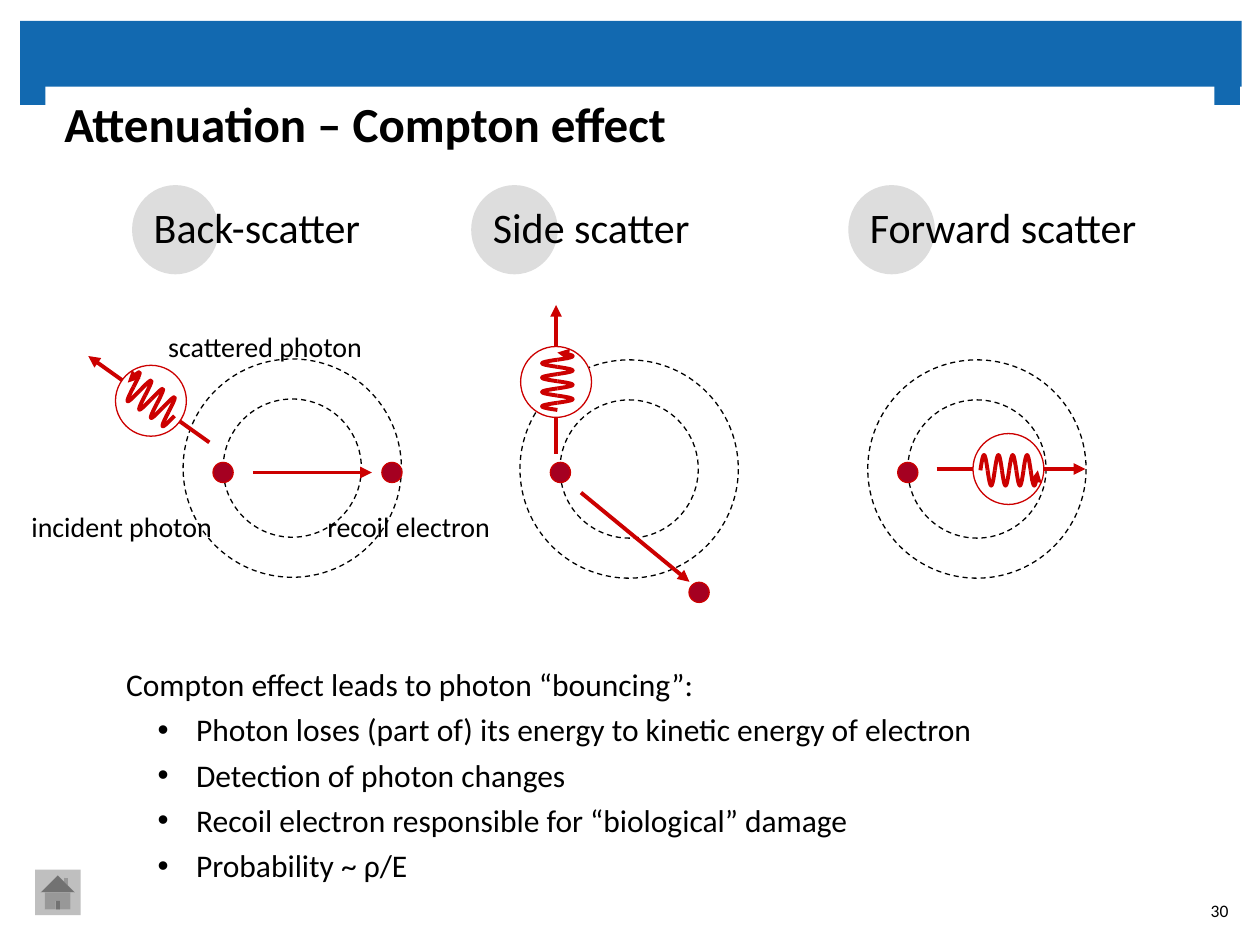
"""Build a slide on the Compton effect with three scatter diagrams."""
from math import cos, pi, radians, sin

from lxml import etree
from pptx import Presentation
from pptx import util as u
from pptx.dml.color import RGBColor
from pptx.enum import dml, shapes, text
from pptx.oxml import ns

BLUE = RGBColor(0x12, 0x69, 0xB0)
BLACK = RGBColor(0, 0, 0)
WHITE = RGBColor(255, 255, 255)
PALE = RGBColor(0xDD, 0xDD, 0xDD)
GREY = RGBColor(0xBF, 0xBF, 0xBF)
RED = RGBColor(0xCC, 0, 0)
WINE = RGBColor(0xA5, 0, 0x21)
FONT = "Calibri"
KIND = shapes.MSO_SHAPE
ALIGN = text.PP_ALIGN

TITLE = "Attenuation – Compton effect"
BARS = [(11.5, 12, 698, 37.5), (11.5, 47, 14.5, 13), (694, 47, 14.5, 13)]
HEADS = [("Back-scatter", 75.5, 143), ("Side scatter", 269.25, 135),
         ("Forward scatter", 484.75, 178)]
ATOMS = [(167, 267.5), (359.5, 268), (558.25, 268)]
RINGS = [79, 124.75]
DOTS = [(127.5, 270), (320.25, 270), (518.75, 270), (224, 270), (399.5, 338.5)]
PATHS = [(144.5, 270, 212.5, 270), (332, 281.5, 394, 332.5)]
WAVES = [(86.25, 229, 215.5), (317.75, 218.25, 270), (576.25, 268, 0)]
NOTES = [("incident photon", 0, 287.5), ("recoil electron", 164, 287.5),
         ("scattered photon", 82, 185)]
LEAD = "Compton effect leads to photon “bouncing”:"
POINTS = ["Photon loses (part of) its energy to kinetic energy of electron",
          "Detection of photon changes",
          "Recoil electron responsible for “biological” damage",
          "Probability ~ ρ/E"]
PAGE = "30"


def pts(*nums):
    return [u.Pt(n) for n in nums]


def shape(home, kind, box, fill=None, line=None, dash=False):
    item = home.add_shape(kind, *pts(*box))
    item.shadow.inherit = False
    if fill is None:
        item.fill.background()
    else:
        item.fill.solid()
        item.fill.fore_color.rgb = fill
    if line is None:
        item.line.fill.background()
    else:
        item.line.color.rgb = line
        item.line.width = u.Pt(0.75)
    if dash:
        item.line.dash_style = dml.MSO_LINE.DASH
    return item


def disc(home, x, y, size, **look):
    return shape(home, KIND.OVAL, (x - size / 2, y - size / 2, size, size), **look)


def stroke(item, head=False):
    item.line.color.rgb = RED
    item.line.width = u.Pt(2.25)
    if head:
        etree.SubElement(item.line._get_or_add_ln(), ns.qn("a:tailEnd"), type="triangle")


def arrow(home, *ends):
    item = home.add_connector(shapes.MSO_CONNECTOR.STRAIGHT, *pts(*ends))
    stroke(item, True)
    etree.SubElement(item._element.spPr, ns.qn("a:effectLst"))


def photon(home, x, y, angle, halves=8, pitch=4.1, high=8.75, steps=10):
    turn = radians(angle)

    def spot(a, b):
        return x + a * cos(turn) - b * sin(turn), y + a * sin(turn) + b * cos(turn)

    group = home.add_group_shape().shapes
    arrow(group, *spot(-41, 0), *spot(44, 0))
    disc(group, x, y, 40.5, fill=WHITE, line=RED)
    for n in range(halves):
        sign = 1 if n % 2 else -1
        curve = [pts(*spot((n + k / steps) * pitch - 16,
                           sign * high * sin(pi * k / steps) + 0.75))
                 for k in range(steps + 1)]
        pen = group.build_freeform(*curve[0])
        pen.add_line_segments(curve[1:], close=False)
        wave = pen.convert_to_shape()
        wave.shadow.inherit = False
        wave.fill.background()
        stroke(wave, n == halves - 1)


def write(para, words, size, bold=False):
    run = para.add_run()
    run.text = words
    run.font.name = FONT
    run.font.size = u.Pt(size)
    run.font.bold = bold
    run.font.color.rgb = BLACK


def label(home, box, words, size, align=ALIGN.LEFT, wrap=True):
    frame = home.add_textbox(*pts(*box)).text_frame
    frame.word_wrap = wrap
    frame.paragraphs[0].alignment = align
    write(frame.paragraphs[0], words, size)
    return frame


def bullet(para):
    props = para._p.get_or_add_pPr()
    props.set("marL", str(u.Pt(40)))
    props.set("indent", str(u.Pt(-22)))
    etree.SubElement(props, ns.qn("a:buFont"), typeface="Arial")
    etree.SubElement(props, ns.qn("a:buChar"), char="•")


def main():
    deck = Presentation()
    deck.slide_width, deck.slide_height = pts(720, 540)
    slide = deck.slides.add_slide(deck.slide_layouts[5])
    home = slide.shapes

    title = home.title
    title.left, title.top, title.width, title.height = pts(25.25, 49, 669, 46)
    frame = title.text_frame
    frame.margin_left, frame.margin_top, frame.margin_right, frame.margin_bottom = pts(
        11.5, 4.25, 11.5, 0)
    frame.vertical_anchor = text.MSO_ANCHOR.TOP
    frame.paragraphs[0].alignment = ALIGN.LEFT
    write(frame.paragraphs[0], TITLE, 28, True)

    for bar in BARS:
        shape(home, KIND.RECTANGLE, bar, fill=BLUE)
    for x, y in ATOMS:
        for size in RINGS:
            disc(home, x, y, size, line=BLACK, dash=True)
    for words, x, wide in HEADS:
        shape(home, KIND.OVAL, (x, 105.75, 49.5, 51), fill=PALE)
        label(home, (x + 5.25, 111.5, wide, 36), words, 24, wrap=False)
    for ends in PATHS:
        arrow(home, *ends)
    for x, y in DOTS:
        disc(home, x, y, 11.5, fill=WINE, line=RED)
    for wave in WAVES:
        photon(home, *wave)
    for words, x, y in NOTES:
        label(home, (x, y, 139, 26.5), words, 16, ALIGN.CENTER)

    body = label(home, (65, 372.25, 618, 139.75), LEAD, 18)
    body.paragraphs[0].line_spacing = 1.2
    for words in POINTS:
        para = body.add_paragraph()
        para.line_spacing = 1.2
        bullet(para)
        write(para, words, 18)

    page = label(home, (678, 505.5, 31, 29), PAGE, 10, ALIGN.RIGHT)
    page.vertical_anchor = text.MSO_ANCHOR.MIDDLE
    shape(home, KIND.ACTION_BUTTON_HOME, (20, 497, 26, 26), fill=GREY)
    deck.save("out.pptx")


if __name__ == "__main__":
    main()
